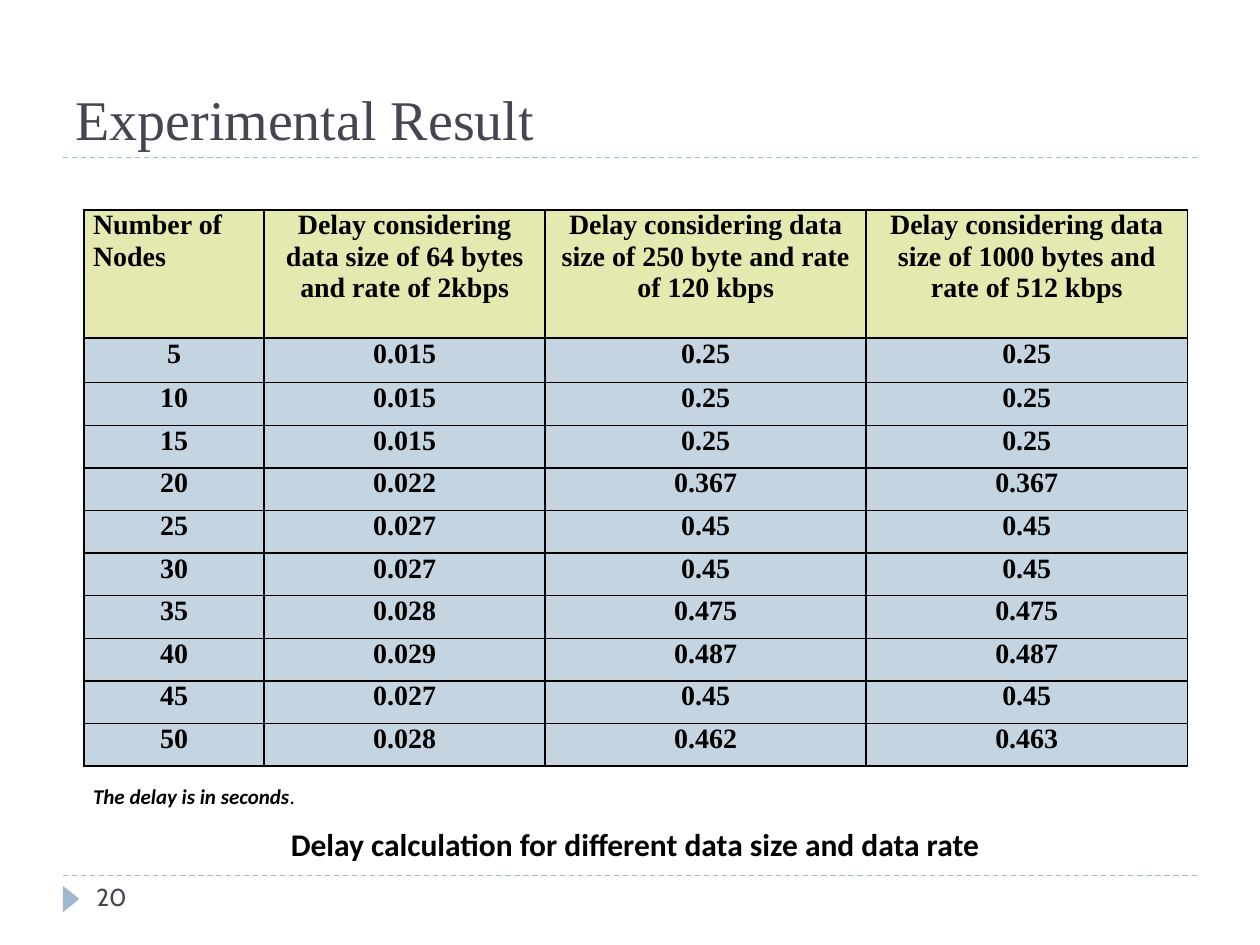
from lxml import etree
from pptx import Presentation
from pptx import util as u
from pptx.dml import color
from pptx.enum import dml, shapes, text
from pptx.oxml import ns

SERIF = "Times New Roman"
INK = "464653"
ACCENT = "9FB8CD"
BLACK = "000000"
HEADER_FILL = "E4E9AF"
BODY_FILL = "C5D4E1"

HEADERS = [
    "Number of Nodes",
    "Delay considering data size of 64 bytes and rate of 2kbps",
    "Delay considering data size of 250 byte and rate of 120 kbps",
    "Delay considering data size of 1000 bytes and rate of 512 kbps",
]
DELAYS = [
    ["5", "0.015", "0.25", "0.25"],
    ["10", "0.015", "0.25", "0.25"],
    ["15", "0.015", "0.25", "0.25"],
    ["20", "0.022", "0.367", "0.367"],
    ["25", "0.027", "0.45", "0.45"],
    ["30", "0.027", "0.45", "0.45"],
    ["35", "0.028", "0.475", "0.475"],
    ["40", "0.029", "0.487", "0.487"],
    ["45", "0.027", "0.45", "0.45"],
    ["50", "0.028", "0.462", "0.463"],
]
COLUMN_WIDTHS = [103, 160.5, 183.5, 183.5]
ROW_HEIGHTS = [73.2, 25.5] + [24.35] * 9


def rgb(value):
    return color.RGBColor.from_string(value)


def points(*values):
    return [u.Pt(value) for value in values]


def add_run(paragraph, content, size, font, ink, bold=False, italic=False):
    run = paragraph.add_run()
    run.text = content
    run.font.size = u.Pt(size)
    run.font.name = font
    run.font.bold = bold
    run.font.italic = italic
    run.font.color.rgb = rgb(ink)


def add_text(slide, box, runs, align=text.PP_ALIGN.LEFT, anchor=text.MSO_ANCHOR.TOP):
    frame = slide.shapes.add_textbox(*points(*box)).text_frame
    frame.word_wrap = True
    frame.vertical_anchor = anchor
    paragraph = frame.paragraphs[0]
    paragraph.alignment = align
    for run in runs:
        add_run(paragraph, *run)


def add_rule(slide, top):
    line = slide.shapes.add_connector(
        shapes.MSO_CONNECTOR.STRAIGHT, *points(36, top, 684, top))
    line.line.color.rgb = rgb(ACCENT)
    line.line.width = u.Pt(0.75)
    line.line.dash_style = dml.MSO_LINE.DASH
    etree.SubElement(line._element.spPr, ns.qn("a:effectLst"))


def add_page_marker(slide):
    marker = slide.shapes.add_shape(
        shapes.MSO_SHAPE.ISOSCELES_TRIANGLE, *points(33.1, 509, 15.1, 9.4))
    marker.rotation = 90
    marker.shadow.inherit = False
    marker.fill.solid()
    marker.fill.fore_color.rgb = rgb(ACCENT)
    marker.line.fill.background()


def set_borders(cell):
    properties = cell._tc.get_or_add_tcPr()
    for index, side in enumerate(("lnL", "lnR", "lnT", "lnB")):
        border = etree.Element(ns.qn(f"a:{side}"), w=str(u.Pt(1)))
        fill = etree.SubElement(border, ns.qn("a:solidFill"))
        etree.SubElement(fill, ns.qn("a:srgbClr"), val=BLACK)
        properties.insert(index, border)


def fill_cell(cell, content, fill, align):
    cell.margin_left = cell.margin_right = u.Pt(5.2)
    cell.margin_top = cell.margin_bottom = 0
    cell.fill.solid()
    cell.fill.fore_color.rgb = rgb(fill)
    set_borders(cell)
    paragraph = cell.text_frame.paragraphs[0]
    paragraph.alignment = align
    add_run(paragraph, content, 16, SERIF, BLACK, True)


def add_delay_table(slide):
    rows = [HEADERS] + DELAYS
    box = points(48, 120, sum(COLUMN_WIDTHS), sum(ROW_HEIGHTS))
    table = slide.shapes.add_table(len(rows), len(HEADERS), *box).table
    for column, width in zip(table.columns, COLUMN_WIDTHS):
        column.width = u.Pt(width)
    for row, height in zip(table.rows, ROW_HEIGHTS):
        row.height = u.Pt(height)
    for row_index, values in enumerate(rows):
        fill = BODY_FILL if row_index else HEADER_FILL
        for column_index, value in enumerate(values):
            is_corner = row_index == column_index == 0
            align = text.PP_ALIGN.LEFT if is_corner else text.PP_ALIGN.CENTER
            fill_cell(table.cell(row_index, column_index), value, fill, align)


def main():
    presentation = Presentation()
    presentation.slide_width, presentation.slide_height = points(720, 540)
    slide = presentation.slides.add_slide(presentation.slide_layouts[6])
    for top in (500.4, 90):
        add_rule(slide, top)
    add_page_marker(slide)
    add_text(slide, (36, 12, 648, 78), [("Experimental Result", 32, SERIF, INK)],
             anchor=text.MSO_ANCHOR.BOTTOM)
    add_text(slide, (48, 500.4, 156, 28.8), [("20", 14, "Cabin", INK)])
    add_delay_table(slide)
    add_text(slide, (48, 468, 630, 28.8),
             [("Delay calculation for different data size and data rate",
               18, "Calibri", BLACK, True)], text.PP_ALIGN.CENTER)
    add_text(slide, (42, 438, 228, 28.8), [
        (" ", 18, "Calibri", BLACK, True, True),
        ("The delay is in seconds", 12, "Calibri", BLACK, True, True),
        (".", 12, "Calibri", BLACK),
    ])
    presentation.save("out.pptx")


if __name__ == "__main__":
    main()
